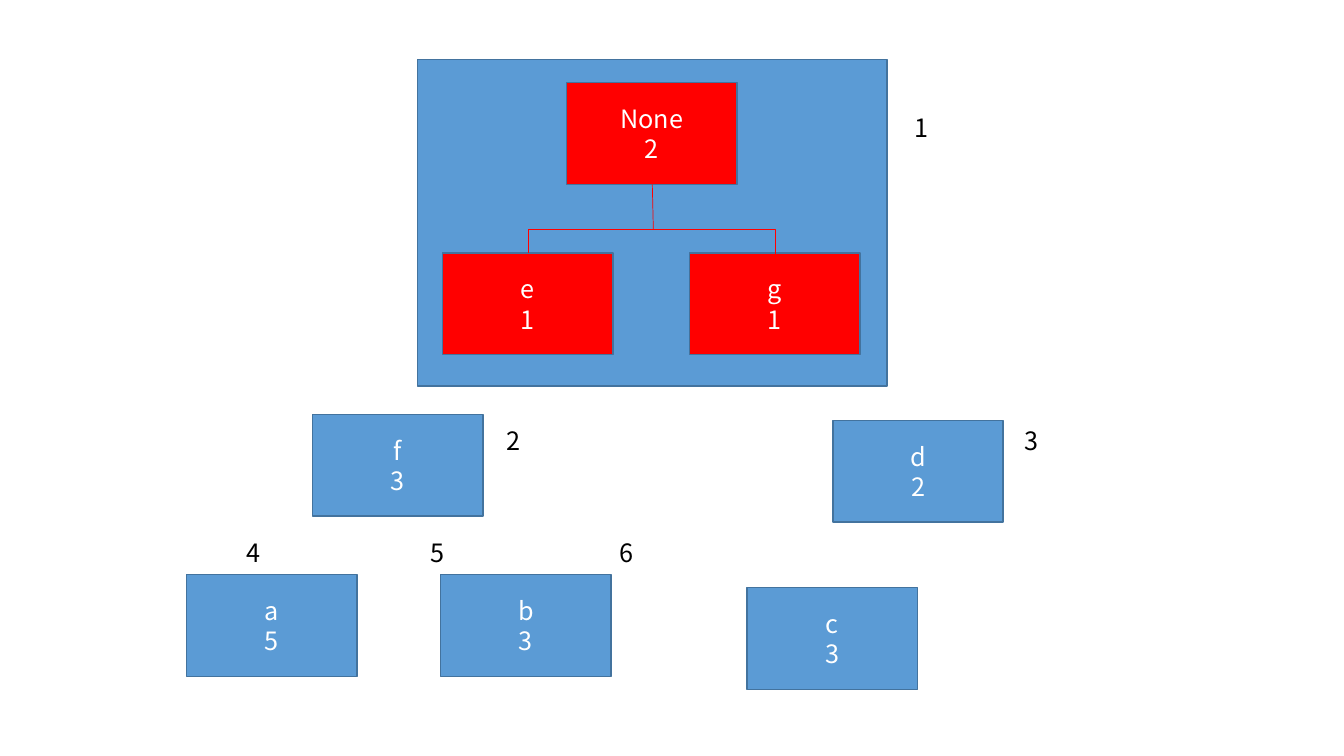
from dataclasses import dataclass

from lxml import etree
from pptx import Presentation
from pptx import util as u
from pptx.dml.color import RGBColor
from pptx.enum import shapes, text
from pptx.oxml import ns

PX = 9144


@dataclass(frozen=True)
class Theme:
    font: str = "Noto Sans CJK KR"
    size: int = 18
    blue: str = "5B9BD5"
    outline: str = "43739E"
    red: str = "FF0000"
    white: str = "FFFFFF"
    black: str = "000000"
    outline_width: float = 1
    link_width: float = 0.5


@dataclass(frozen=True)
class Node:
    left: int
    top: int
    label: str = ""
    width: int = 169
    height: int = 101


@dataclass(frozen=True)
class IndexLabel:
    left: int
    top: int
    width: int
    label: str
    tabs: tuple[int, ...] = ()


THEME = Theme()
HEAP_NODES = [
    Node(826, 417, "d\n2"),
    Node(185, 570, "a\n5"),
    Node(437, 570, "b\n3"),
    Node(310, 411, "f\n3"),
    Node(741, 583, "c\n3"),
]
FRAME = Node(414, 59, width=466, height=324)
LEAVES = [Node(439, 251, "e\n1"), Node(684, 251, "g\n1")]
ROOT = Node(562, 82, "None\n2")
INDEX_LABELS = [
    IndexLabel(897, 107, 27, "1"),
    IndexLabel(493, 417, 31, "2"),
    IndexLabel(1006, 417, 39, "3"),
    IndexLabel(235, 528, 606, "4\t5\t6", (182, 370)),
]


def px(length: int) -> u.Emu:
    return u.Emu(length * PX)


def format_text(frame, color: str, align: text.PP_ALIGN) -> None:
    for para in frame.paragraphs:
        para.alignment = align
        for span in para.runs:
            span.font.name = THEME.font
            span.font.size = u.Pt(THEME.size)
            span.font.color.rgb = RGBColor.from_string(color)


def draw_node(target, node: Node, fill: str) -> None:
    box = target.add_shape(
        shapes.MSO_SHAPE.RECTANGLE,
        px(node.left), px(node.top), px(node.width), px(node.height),
    )
    box.shadow.inherit = False
    box.fill.solid()
    box.fill.fore_color.rgb = RGBColor.from_string(fill)
    box.line.color.rgb = RGBColor.from_string(THEME.outline)
    box.line.width = u.Pt(THEME.outline_width)
    if node.label:
        frame = box.text_frame
        frame.text = node.label
        frame.vertical_anchor = text.MSO_ANCHOR.MIDDLE
        format_text(frame, THEME.white, text.PP_ALIGN.CENTER)


def draw_link(target, kind: shapes.MSO_CONNECTOR,
              start: tuple[int, int], end: tuple[int, int]):
    link = target.add_connector(kind, *map(px, start), *map(px, end))
    link.line.color.rgb = RGBColor.from_string(THEME.red)
    link.line.width = u.Pt(THEME.link_width)
    etree.SubElement(link._element.spPr, ns.qn("a:effectLst"))
    return link


def draw_bracket(target) -> None:
    link = draw_link(target, shapes.MSO_CONNECTOR.ELBOW, (646, 374), (647, 129))
    properties = link._element.spPr
    properties.find(ns.qn("a:xfrm")).set("rot", "16200000")
    geometry = properties.find(ns.qn("a:prstGeom"))
    adjustments = geometry.find(ns.qn("a:avLst"))
    if adjustments is None:
        adjustments = etree.SubElement(geometry, ns.qn("a:avLst"))
    etree.SubElement(adjustments, ns.qn("a:gd"), name="adj1", fmla="val 2500000")


def draw_index(target, index: IndexLabel) -> None:
    box = target.add_textbox(px(index.left), px(index.top), px(index.width), px(40))
    frame = box.text_frame
    frame.word_wrap = True
    frame.auto_size = text.MSO_AUTO_SIZE.SHAPE_TO_FIT_TEXT
    para = frame.paragraphs[0]
    para.text = index.label
    format_text(frame, THEME.black, text.PP_ALIGN.LEFT)
    if index.tabs:
        tab_list = etree.SubElement(para._p.get_or_add_pPr(), ns.qn("a:tabLst"))
        for stop in index.tabs:
            etree.SubElement(tab_list, ns.qn("a:tab"), pos=str(px(stop)), algn="l")


def main() -> None:
    deck = Presentation()
    deck.slide_width, deck.slide_height = px(1333), px(750)
    page = deck.slides.add_slide(deck.slide_layouts[6])

    for node in [*HEAP_NODES, FRAME]:
        draw_node(page.shapes, node, THEME.blue)

    tree = page.shapes.add_group_shape().shapes
    for leaf in LEAVES:
        draw_node(tree, leaf, THEME.red)
    draw_bracket(tree)
    draw_node(tree, ROOT, THEME.red)

    draw_link(page.shapes, shapes.MSO_CONNECTOR.STRAIGHT, (647, 183), (648, 228))
    for index in INDEX_LABELS:
        draw_index(page.shapes, index)
    deck.save("out.pptx")


if __name__ == "__main__":
    main()
